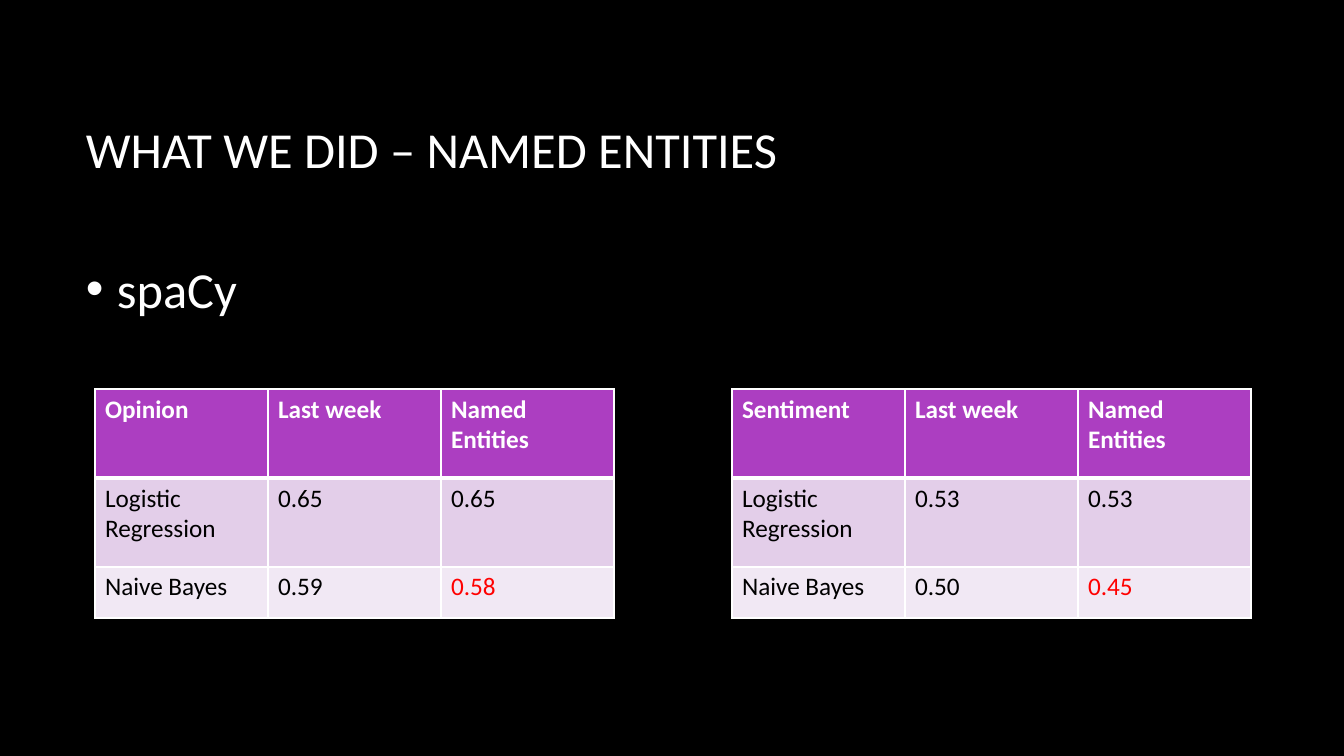
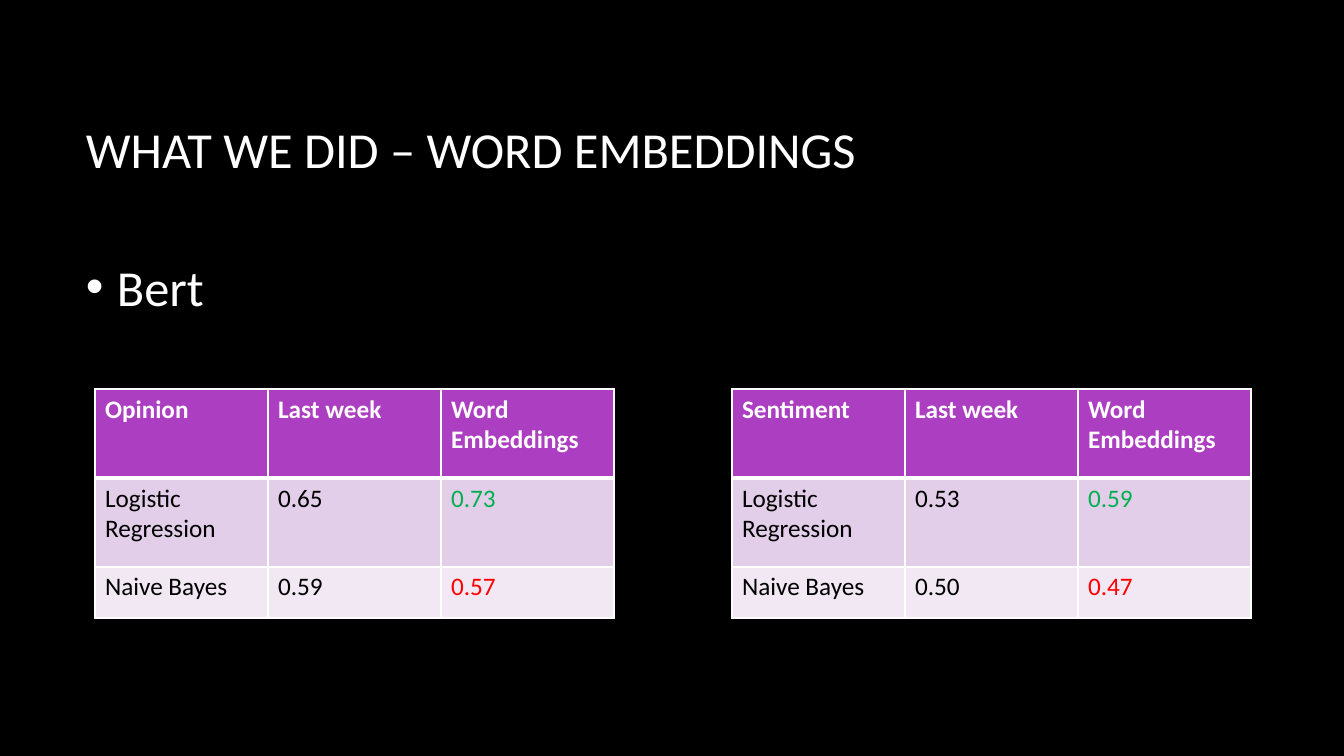
from dataclasses import dataclass

from lxml.etree import SubElement
from pptx import Presentation
from pptx.dml.color import RGBColor
from pptx.enum.text import MSO_ANCHOR
from pptx.oxml import parse_xml
from pptx.oxml.ns import nsdecls, qn
from pptx.util import Emu, Pt

SLIDE_W, SLIDE_H = 1344, 756
SCALE = 12192000 / SLIDE_W


@dataclass(frozen=True)
class Theme:
    font: str = "Calibri"
    background: str = "000000"
    light: str = "FFFFFF"
    dark: str = "000000"
    header: str = "AC3EC1"
    bands: tuple = ("E3CEE9", "F1E8F4")
    better: str = "00B050"
    worse: str = "FF0000"
    large: int = 36
    small: int = 18
    rule: int = 1
    header_rule: int = 3


THEME = Theme()
TITLE_BOX = (76, 68, 1117, 160)
TABLE_TOPS = 389
TABLE_LEFTS = (95, 732)
COL_W = 173
ROW_HEIGHTS = (89, 89, 51)
MODELS = ("Logistic Regression", "Naive Bayes")
BASELINES = {"Opinion": ("0.65", "0.59"), "Sentiment": ("0.53", "0.50")}


def px(n):
    return Emu(round(n * SCALE))


def add_run(p, text, size, color, bold=False):
    r = p.add_run()
    r.text = text
    r.font.name = THEME.font
    r.font.size = Pt(size)
    r.font.bold = bold
    r.font.color.rgb = RGBColor.from_string(color)


def add_text(s, box, text):
    """Place one vertically centred line and return its paragraph."""
    tf = s.shapes.add_textbox(*map(px, box)).text_frame
    tf.word_wrap = True
    tf.vertical_anchor = MSO_ANCHOR.MIDDLE
    p = tf.paragraphs[0]
    add_run(p, text, THEME.large, THEME.light)
    return p


def add_bullet(s, box, text):
    p = add_text(s, box, text)
    p.space_after = Pt(10)
    pPr = p._p.get_or_add_pPr()
    indent = px(31)
    pPr.set("marL", str(indent))
    pPr.set("indent", str(-indent))
    SubElement(pPr, qn("a:buFont"), typeface="Arial")
    SubElement(pPr, qn("a:buChar"), char="•")


def set_borders(cell, top, bottom):
    tcPr = cell._tc.get_or_add_tcPr()
    widths = {"lnL": THEME.rule, "lnR": THEME.rule, "lnT": top, "lnB": bottom}
    for i, (side, width) in enumerate(widths.items()):
        tcPr.insert(i, parse_xml(
            f'<a:{side} {nsdecls("a")} w="{Pt(width)}"><a:solidFill>'
            f'<a:srgbClr val="{THEME.light}"/></a:solidFill></a:{side}>'))


def score_color(score, baseline):
    if float(score) == float(baseline):
        return THEME.dark
    return THEME.better if float(score) > float(baseline) else THEME.worse


def add_score_table(s, left, top, task, method, scores):
    baselines = BASELINES[task]
    rows = [(task, "Last week", method), *zip(MODELS, baselines, scores)]
    box = (left, top, COL_W * 3, sum(ROW_HEIGHTS))
    table = s.shapes.add_table(len(rows), 3, *map(px, box)).table
    for column in table.columns:
        column.width = px(COL_W)

    for i, values in enumerate(rows):
        table.rows[i].height = px(ROW_HEIGHTS[i])
        is_header = i == 0
        for j, value in enumerate(values):
            cell = table.cell(i, j)
            cell.fill.solid()
            fill = THEME.header if is_header else THEME.bands[i - 1]
            cell.fill.fore_color.rgb = RGBColor.from_string(fill)
            # The heavy rule is shared by the header and the first score row
            set_borders(cell,
                        THEME.header_rule if i == 1 else THEME.rule,
                        THEME.header_rule if is_header else THEME.rule)
            color = THEME.light if is_header else THEME.dark
            if j == 2 and not is_header:
                color = score_color(value, values[1])
            add_run(cell.text_frame.paragraphs[0], value, THEME.small, color, is_header)


def add_result_slide(prs, method, tool, tool_top, results):
    s = prs.slides.add_slide(prs.slide_layouts[6])
    # Title and the tool that was used
    add_text(s, TITLE_BOX, f"WHAT WE DID – {method.upper()}")
    add_bullet(s, (76, tool_top, 1117, 402), tool)
    # One table for each task
    for left, (task, scores) in zip(TABLE_LEFTS, results.items()):
        add_score_table(s, left, TABLE_TOPS, task, method, scores)


def main():
    prs = Presentation()
    prs.slide_width, prs.slide_height = px(SLIDE_W), px(SLIDE_H)
    fill = prs.slide_master.background.fill
    fill.solid()
    fill.fore_color.rgb = RGBColor.from_string(THEME.background)

    add_result_slide(prs, "Named Entities", "spaCy", 87,
                     {"Opinion": ("0.65", "0.58"), "Sentiment": ("0.53", "0.45")})
    add_result_slide(prs, "Word Embeddings", "Bert", 85,
                     {"Opinion": ("0.73", "0.57"), "Sentiment": ("0.59", "0.47")})
    prs.save("out.pptx")


if __name__ == "__main__":
    main()
